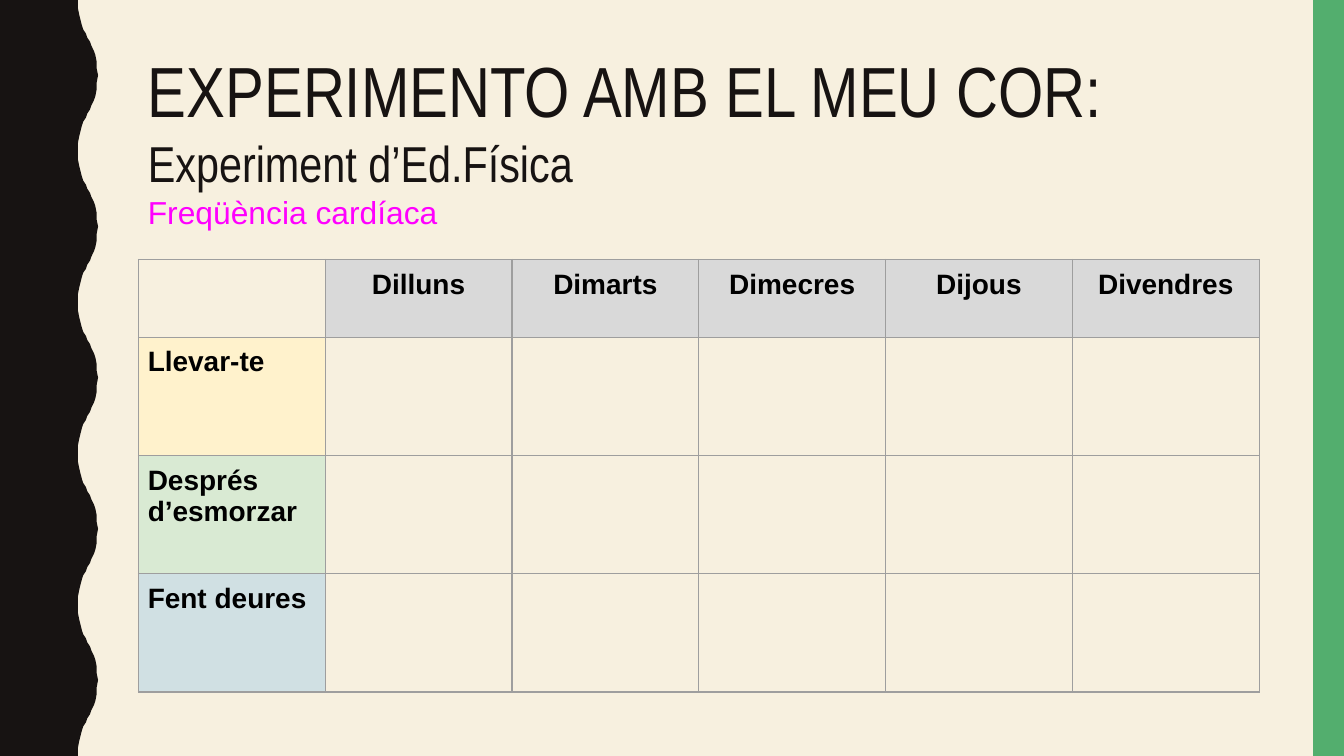
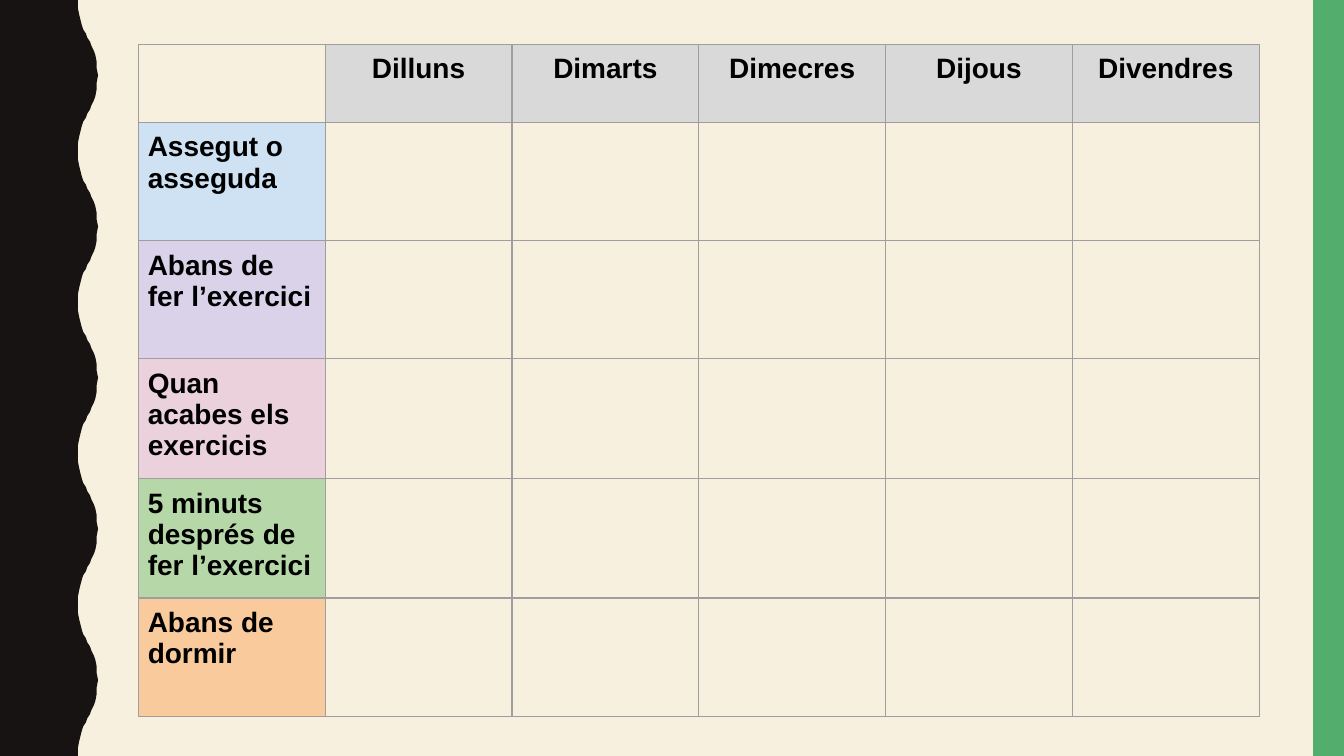
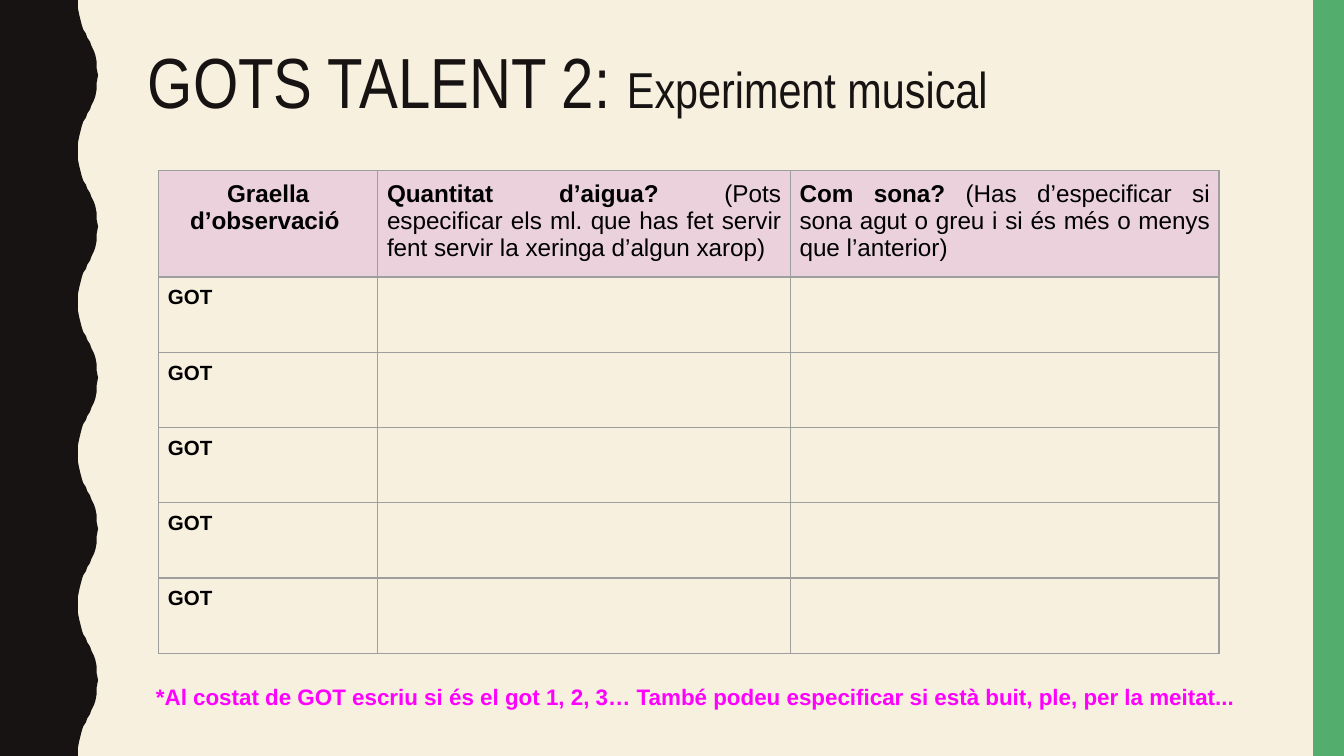
"""Build three slides of observation grids for heart rate and musical glasses."""

from dataclasses import dataclass
from typing import Optional

from lxml.etree import SubElement
from pptx import Presentation
from pptx.dml.color import RGBColor
from pptx.enum.shapes import MSO_SHAPE
from pptx.enum.text import MSO_ANCHOR, PP_ALIGN
from pptx.oxml.ns import qn
from pptx.util import Inches, Pt

CREAM = RGBColor(0xF7, 0xF0, 0xDF)
INK = RGBColor(0x17, 0x13, 0x12)
GREEN = RGBColor(0x53, 0xAE, 0x6E)
BLACK = RGBColor(0x00, 0x00, 0x00)
MAGENTA = RGBColor(0xFF, 0x00, 0xFF)
BORDER_GRAY = RGBColor(0x9E, 0x9E, 0x9E)
HEADER_GRAY = RGBColor(0xD9, 0xD9, 0xD9)
PALE_YELLOW = RGBColor(0xFF, 0xF2, 0xCC)
PALE_GREEN = RGBColor(0xD9, 0xEA, 0xD3)
PALE_TEAL = RGBColor(0xD0, 0xE0, 0xE3)
PALE_BLUE = RGBColor(0xCF, 0xE2, 0xF3)
PALE_VIOLET = RGBColor(0xD9, 0xD2, 0xE9)
PALE_PINK = RGBColor(0xEA, 0xD1, 0xDC)
SOFT_GREEN = RGBColor(0xB6, 0xD7, 0xA8)
SOFT_ORANGE = RGBColor(0xF9, 0xCB, 0x9C)

SLIDE_WIDTH = Inches(10)
SLIDE_HEIGHT = SLIDE_WIDTH * 9 // 16
WAVE_COUNT = 5
HALF_WAVE = [
    (0.58, 0), (0.58, 0.06), (0.59, 0.11), (0.6, 0.15), (0.61, 0.19),
    (0.62, 0.22), (0.64, 0.25), (0.65, 0.28), (0.67, 0.31), (0.68, 0.34),
    (0.7, 0.38), (0.71, 0.41), (0.72, 0.46), (0.72, 0.51), (0.73, 0.56),
]
BAND_WIDTH = Inches(0.23)
TEXT_LEFT = 1.03
TEXT_WIDTH = 8.35
CELL_INSET = Inches(0.07)
TITLE_INSET = Inches(0.04)
DAYS = ["Dilluns", "Dimarts", "Dimecres", "Dijous", "Divendres"]


@dataclass(frozen=True)
class TextStyle:
    """Font of a stretch of text."""

    size: float
    name: str = "Arial"
    color: RGBColor = BLACK
    bold: bool = False


@dataclass(frozen=True)
class Piece:
    """Words in one style."""

    text: str
    style: TextStyle


@dataclass(frozen=True)
class CellContent:
    """Words, alignment and fill of one table cell."""

    pieces: tuple[Piece, ...] = ()
    align: PP_ALIGN = PP_ALIGN.LEFT
    fill: Optional[RGBColor] = None


@dataclass(frozen=True)
class Grid:
    """Table place, column widths, row heights and cells, in inches."""

    left: float
    top: float
    widths: list[float]
    heights: list[float]
    rows: list[list[CellContent]]


TITLE = TextStyle(38, "Arial Narrow", INK)
SUBTITLE = TextStyle(27, "Arial Narrow", INK)
TOPIC = TextStyle(17, color=MAGENTA)
LABEL = TextStyle(15, bold=True)
HEADING = TextStyle(13, bold=True)
HINT = TextStyle(13)
GLASS = TextStyle(11, bold=True)
NOTE = TextStyle(12, color=MAGENTA, bold=True)


def write_pieces(para, pieces: tuple[Piece, ...]) -> None:
    """Add styled runs to a paragraph."""
    for piece in pieces:
        span = para.add_run()
        span.text = piece.text
        style = piece.style
        formats = {"size": Pt(style.size), "name": style.name, "bold": style.bold}
        for key, value in formats.items():
            setattr(span.font, key, value)
        span.font.color.rgb = style.color


def add_text(page, left: float, top: float, height: float,
             lines: list[tuple[Piece, ...]], inset: int,
             spacing: float = 1.0) -> None:
    """Add a text box with one paragraph per line."""
    box = page.shapes.add_textbox(
        Inches(left), Inches(top), Inches(TEXT_WIDTH), Inches(height))
    frame = box.text_frame
    formats = {
        "word_wrap": True, "vertical_anchor": MSO_ANCHOR.TOP,
        "margin_left": CELL_INSET, "margin_right": CELL_INSET,
        "margin_top": inset, "margin_bottom": inset,
    }
    for key, value in formats.items():
        setattr(frame, key, value)
    for index, pieces in enumerate(lines):
        para = frame.add_paragraph() if index else frame.paragraphs[0]
        para.line_spacing = spacing
        write_pieces(para, pieces)


def paint(shape, color: RGBColor) -> None:
    """Give a shape a flat fill without line or shadow."""
    shape.shadow.inherit = False
    shape.fill.solid()
    shape.fill.fore_color.rgb = color
    shape.line.fill.background()


def add_page(deck):
    """Add a slide with the wavy left edge and the right band."""
    page = deck.slides.add_slide(deck.slide_layouts[6])
    page.background.fill.solid()
    page.background.fill.fore_color.rgb = CREAM

    period = SLIDE_HEIGHT // WAVE_COUNT
    rising = [(Inches(x), Inches(y)) for x, y in HALF_WAVE]
    falling = [(x, period - y) for x, y in reversed(rising[:-1])]
    edge = [(x, y + wave * period)
            for wave in range(WAVE_COUNT) for x, y in rising + falling]
    outline = page.shapes.build_freeform(0, 0)
    outline.add_line_segments(edge + [(0, SLIDE_HEIGHT)], close=True)
    paint(outline.convert_to_shape(), INK)

    band = page.shapes.add_shape(
        MSO_SHAPE.RECTANGLE, SLIDE_WIDTH - BAND_WIDTH, 0, BAND_WIDTH, SLIDE_HEIGHT)
    paint(band, GREEN)
    return page


def add_borders(cell) -> None:
    """Draw a thin gray line on each side of a cell."""
    properties = cell._tc.get_or_add_tcPr()
    for side in ("a:lnL", "a:lnR", "a:lnT", "a:lnB"):
        line = SubElement(properties, qn(side), w=str(Pt(0.75)))
        fill = SubElement(line, qn("a:solidFill"))
        SubElement(fill, qn("a:srgbClr"), val=str(BORDER_GRAY))


def fill_cell(cell, content: CellContent) -> None:
    """Format one cell and write its words."""
    for side in ("left", "right", "top", "bottom"):
        setattr(cell, f"margin_{side}", CELL_INSET)
    add_borders(cell)
    if content.fill is None:
        cell.fill.background()
    else:
        cell.fill.solid()
        cell.fill.fore_color.rgb = content.fill
    para = cell.text_frame.paragraphs[0]
    para.alignment = content.align
    write_pieces(para, content.pieces)


def add_grid(page, grid: Grid) -> None:
    """Add a table and fill its cells."""
    table = page.shapes.add_table(
        len(grid.heights), len(grid.widths), Inches(grid.left), Inches(grid.top),
        Inches(sum(grid.widths)), Inches(sum(grid.heights))).table
    table.first_row = False
    table.horz_banding = False
    for column, width in zip(table.columns, grid.widths):
        column.width = Inches(width)
    for row, height, contents in zip(table.rows, grid.heights, grid.rows):
        row.height = Inches(height)
        for cell, content in zip(row.cells, contents):
            fill_cell(cell, content)


def week_grid(top: float, moments: list[tuple[str, RGBColor]]) -> Grid:
    """Lay out weekdays across and moments of the day down."""
    header = [CellContent()] + [
        CellContent((Piece(day, LABEL),), PP_ALIGN.CENTER, HEADER_GRAY) for day in DAYS]
    body = [
        [CellContent((Piece(moment, LABEL),), fill=color)] + [CellContent()] * len(DAYS)
        for moment, color in moments]
    return Grid(TEXT_LEFT, top, [1.39] * len(header),
                [0.58] + [0.88] * len(body), [header] + body)


def glass_grid(count: int) -> Grid:
    """Lay out one row for each glass under the three headings."""
    header = [
        CellContent((Piece("Graella d’observació ", HEADING),),
                    PP_ALIGN.CENTER, PALE_PINK),
        CellContent((Piece("Quantitat d’aigua? ", HEADING),
                     Piece("(Pots especificar els ml. que has fet servir fent servir "
                           "la xeringa d’algun xarop)", HINT)),
                    PP_ALIGN.JUSTIFY, PALE_PINK),
        CellContent((Piece("Com sona? ", HEADING),
                     Piece("(Has d’especificar si sona agut o greu i si és més o "
                           "menys que l’anterior)", HINT)),
                    PP_ALIGN.JUSTIFY, PALE_PINK),
    ]
    glass = [CellContent((Piece("GOT", GLASS),)), CellContent(), CellContent()]
    return Grid(1.18, 1.27, [1.63, 3.07, 3.19],
                [0.56] * (count + 1), [header] + [glass] * count)


def main() -> None:
    """Build and save the deck."""
    deck = Presentation()
    deck.slide_width = SLIDE_WIDTH
    deck.slide_height = SLIDE_HEIGHT

    page = add_page(deck)
    add_text(page, TEXT_LEFT, 0.31, 1.22, [
        (Piece("EXPERIMENTO AMB EL MEU COR: ", TITLE),
         Piece("Experiment d’Ed.Física", SUBTITLE)),
        (Piece("Freqüència cardíaca", TOPIC),),
    ], TITLE_INSET)
    add_grid(page, week_grid(1.93, [
        ("Llevar-te", PALE_YELLOW),
        ("Després d’esmorzar", PALE_GREEN),
        ("Fent deures", PALE_TEAL),
    ]))

    page = add_page(deck)
    add_grid(page, week_grid(0.33, [
        ("Assegut o asseguda", PALE_BLUE),
        ("Abans de fer l’exercici", PALE_VIOLET),
        ("Quan acabes els exercicis", PALE_PINK),
        ("5 minuts després de fer l’exercici", SOFT_GREEN),
        ("Abans de dormir", SOFT_ORANGE),
    ]))

    page = add_page(deck)
    add_text(page, TEXT_LEFT, 0.31, 0.89, [
        (Piece("GOTS TALENT 2: ", TITLE), Piece("Experiment musical", SUBTITLE)),
    ], TITLE_INSET, spacing=0.9)
    add_grid(page, glass_grid(5))
    add_text(page, 1.09, 5.01, 0.26, [
        (Piece("*Al costat de GOT escriu si és el got 1, 2, 3… També podeu especificar "
               "si està buit, ple, per la meitat...", NOTE),),
    ], CELL_INSET)

    deck.save("out.pptx")


if __name__ == "__main__":
    main()
